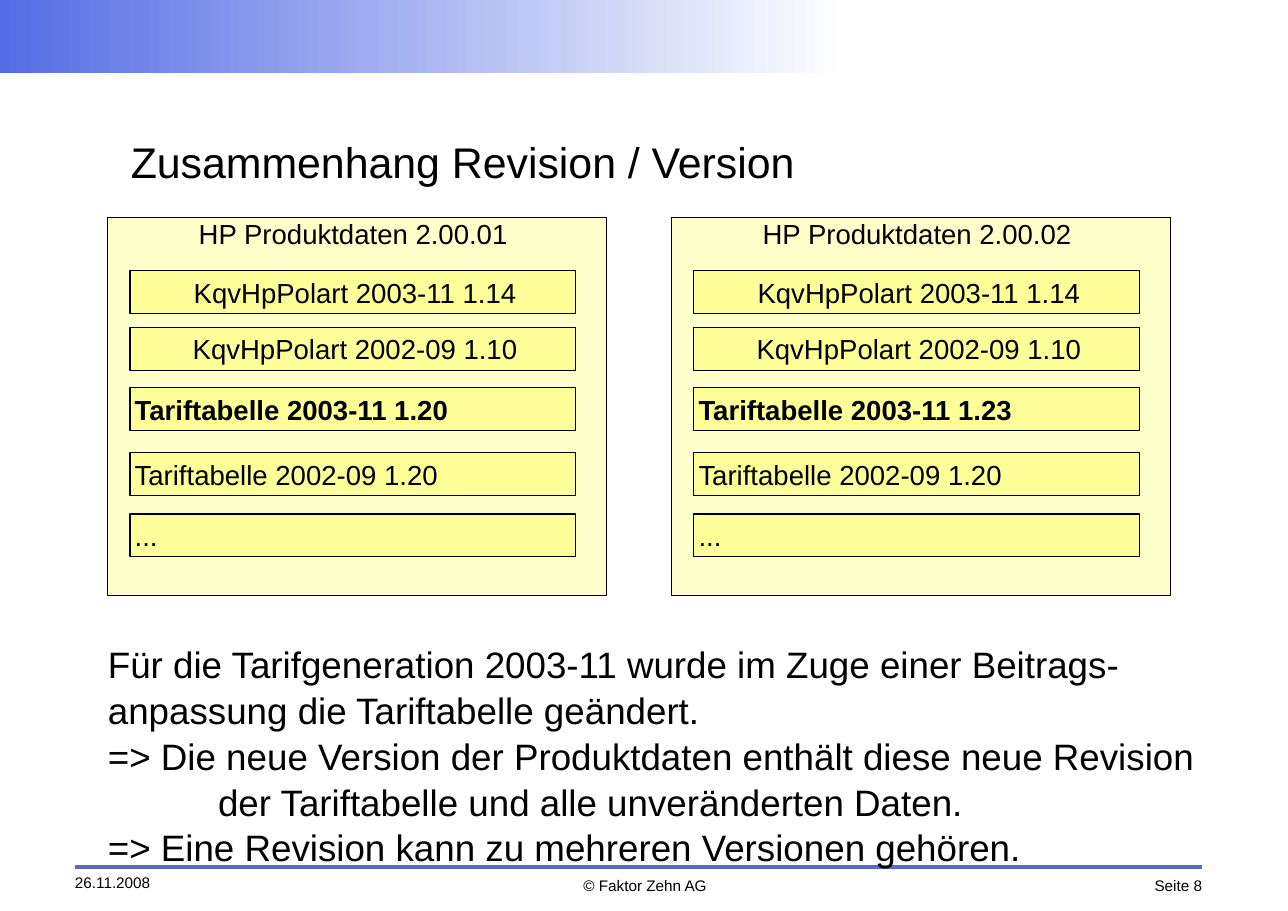
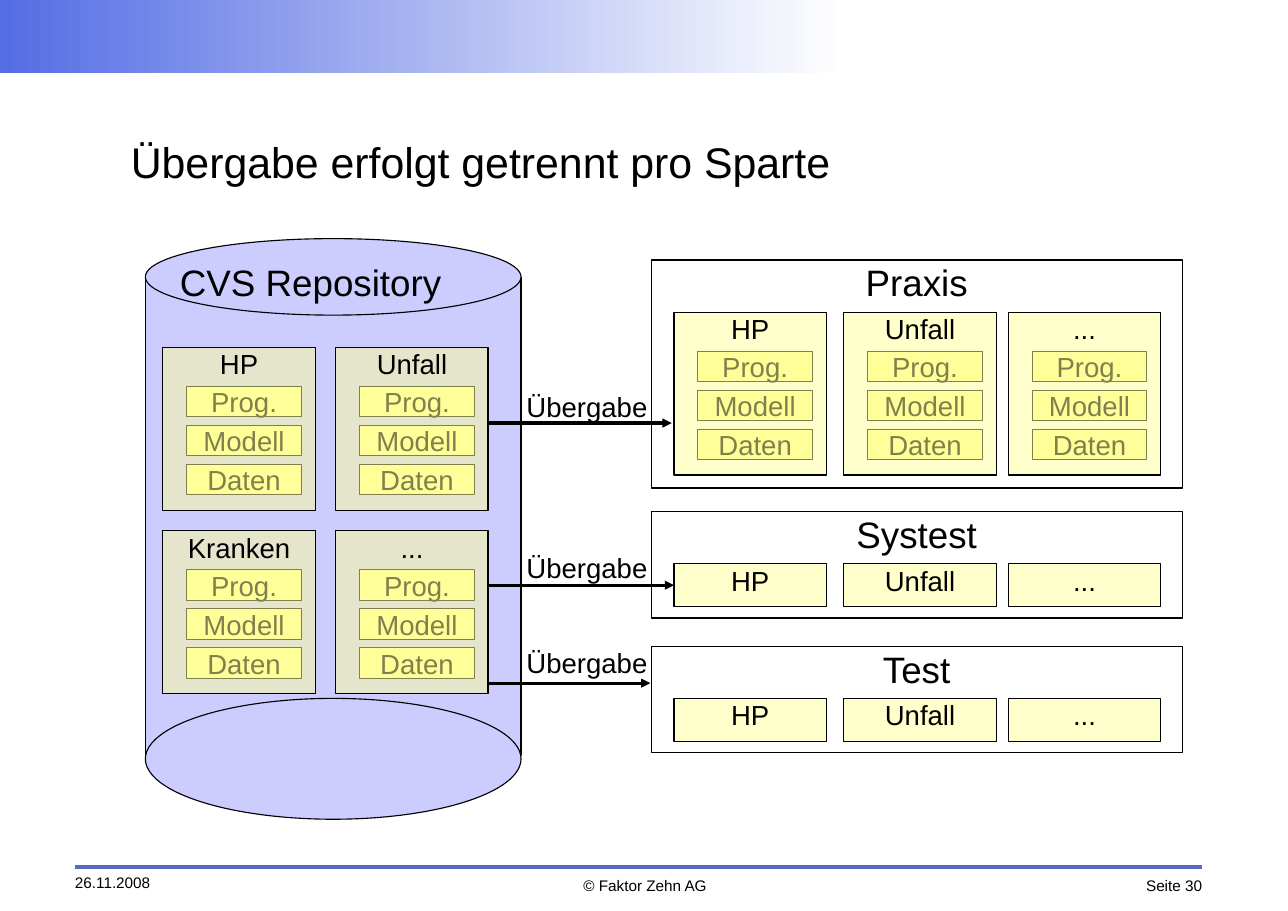
from lxml import etree
from pptx import Presentation
from pptx.dml.color import RGBColor
from pptx.enum import shapes, text
from pptx.oxml.ns import qn
from pptx.util import Pt

BLACK = RGBColor(0x00, 0x00, 0x00)
WHITE = RGBColor(0xFF, 0xFF, 0xFF)
YELLOW = RGBColor(0xFF, 0xFF, 0x99)
LILAC = RGBColor(0xCC, 0xCC, 0xFF)
BLUE = RGBColor(0x55, 0x6D, 0xE4)
RULE = RGBColor(0x57, 0x6B, 0xBF)

RECT = shapes.MSO_SHAPE.RECTANGLE
OVAL = shapes.MSO_SHAPE.OVAL
LINE = shapes.MSO_CONNECTOR.STRAIGHT
LEFT, MID, RIGHT = text.PP_ALIGN.LEFT, text.PP_ALIGN.CENTER, text.PP_ALIGN.RIGHT
TOP, CENTER = text.MSO_ANCHOR.TOP, text.MSO_ANCHOR.MIDDLE


def write(shape, words, size, align=LEFT, anchor=TOP, inset=0, bold=False):
    frame = shape.text_frame
    frame.word_wrap = True
    frame.vertical_anchor = anchor
    frame.margin_left = Pt(inset)
    frame.margin_top = frame.margin_right = frame.margin_bottom = 0
    frame.text = words
    for para in frame.paragraphs:
        para.alignment = align
        font = para.font
        font.name, font.size, font.bold = "Arial", Pt(size), bold
        font.color.rgb = BLACK
    return frame


def draw(page, kind, x, y, w, h, fill=None, clear=False):
    shape = page.shapes.add_shape(kind, Pt(x), Pt(y), Pt(w), Pt(h))
    shape.shadow.inherit = False
    shape.line.color.rgb = BLACK
    shape.line.width = Pt(0)
    if fill is None:
        shape.fill.background()
    else:
        shape.fill.solid()
        shape.fill.fore_color.rgb = fill
    if clear:
        color = shape._element.spPr.find(qn("a:solidFill"))[0]
        etree.SubElement(color, qn("a:alpha")).set("val", "50000")
    return shape


deck = Presentation()
deck.slide_width, deck.slide_height = Pt(841.68), Pt(595.44)

# Shared band, title and footer
pages = []
for title, number in (("Zusammenhang Revision / Version", 8),
                      ("Übergabe erfolgt getrennt pro Sparte", 30)):
    page = deck.slides.add_slide(deck.slide_layouts[6])
    pages.append(page)
    band = draw(page, RECT, 0, 0, 552, 48)
    band.line.fill.background()
    band.fill.gradient()
    band.fill.gradient_angle = 0
    for stop, color in zip(band.fill.gradient_stops, (BLUE, WHITE)):
        stop.color.rgb = color
    rule = page.shapes.add_connector(LINE, Pt(49), Pt(566.5), Pt(785.5), Pt(566.5))
    rule.line.color.rgb = RULE
    rule.line.width = Pt(2.83)
    for words, x, y, w, h, size, align, anchor in (
            (title, 85.5, 68.5, 670, 73.5, 28, LEFT, CENTER),
            ("26.11.2008", 49, 570.5, 90, 14, 10, LEFT, TOP),
            ("© Faktor Zehn AG", 363.5, 572.5, 116, 14, 10, MID, TOP),
            (f"Seite {number}", 704.5, 572.5, 81, 14, 10, RIGHT, TOP)):
        label = page.shapes.add_textbox(Pt(x), Pt(y), Pt(w), Pt(h))
        write(label, words, size, align, anchor)
first, second = pages

# Slide 1: two product versions with their revisions
for x, version, table in ((70.5, "2.00.01", "1.20"), (439, "2.00.02", "1.23")):
    panel = draw(first, RECT, x, 142, 326, 247.5, YELLOW, True)
    frame = write(panel, f"HP Produktdaten {version}", 18, MID)
    frame.margin_right = Pt(5.5)
    for y, words, align, bold in (
            (177, "KqvHpPolart 2003-11 1.14", MID, False),
            (214, "KqvHpPolart 2002-09 1.10", MID, False),
            (253.5, f"Tariftabelle 2003-11 {table}", LEFT, True),
            (296, "Tariftabelle 2002-09 1.20", LEFT, False),
            (336, "...", LEFT, False)):
        bar = draw(first, RECT, x + 14.5, y, 291, 28, YELLOW)
        write(bar, words, 18, align, CENTER, 3, bold)

# Slide 1: explanation
body = first.shapes.add_textbox(Pt(70.5), Pt(418.5), Pt(754), Pt(144))
frame = write(body, "\n".join((
    "Für die Tarifgeneration 2003-11 wurde im Zuge einer Beitrags-",
    "anpassung die Tariftabelle geändert.",
    "=> Die neue Version der Produktdaten enthält diese neue Revision",
    "der Tariftabelle und alle unveränderten Daten.",
    "=> Eine Revision kann zu mehreren Versionen gehören.")), 24)
for para in frame.paragraphs:
    para.line_spacing = 1.04
frame.paragraphs[3]._p.get_or_add_pPr().set("marL", str(Pt(72)))

# Slide 2: repository cylinder
draw(second, RECT, 95, 181.5, 245.5, 312, LILAC)
draw(second, OVAL, 95, 456.5, 245.5, 79, LILAC)
draw(second, OVAL, 95, 156, 245.5, 50, LILAC)
label = second.shapes.add_textbox(Pt(114.5), Pt(170), Pt(177), Pt(26.5))
write(label, "CVS Repository", 24, MID)

# Slide 2: target panels, and the places of all line-of-business boxes
spots = [("HP", 106.5, 227, True), ("Unfall", 219.5, 227, True),
         ("Kranken", 106.5, 347, True), ("...", 219.5, 347, True)]
for name, y, h, full in (("Praxis", 170, 149, True),
                         ("Systest", 334.5, 69.5, False),
                         ("Test", 422.5, 69.5, False)):
    write(draw(second, RECT, 425.5, y, 347, h), name, 24, MID)
    for branch, x in (("HP", 440.5), ("Unfall", 551.5), ("...", 659)):
        spots.append((branch, x, y + 34, full))

# Slide 2: boxes, laid half transparent over their parts
boxes = []
for branch, x, y, full in spots:
    for row, part in enumerate(("Prog.", "Modell", "Daten") if full else ()):
        bar = draw(second, RECT, x + 15.5, y + 25.5 * (row + 1), 75, 20, YELLOW)
        write(bar, part, 18, MID, CENTER)
    box = draw(second, RECT, x, y, 99.5, 106.5 if full else 28, YELLOW, True)
    write(box, branch, 18, MID)
    boxes.append(box)

# Slide 2: handover arrows
target = boxes[7]
for top, y, end, goal in ((255, 276.5, 439, None), (360, 382.5, 440.5, target),
                          (422.5, 446.5, 425, None)):
    label = second.shapes.add_textbox(Pt(344), Pt(top), Pt(85), Pt(20))
    write(label, "Übergabe", 18)
    arrow = second.shapes.add_connector(LINE, Pt(319), Pt(y), Pt(end), Pt(y))
    if goal is not None:
        arrow.end_connect(goal, 1)
    arrow.line.color.rgb = BLACK
    arrow.line.width = Pt(0)
    line = arrow._element.spPr.find(qn("a:ln"))
    etree.SubElement(line, qn("a:tailEnd")).set("type", "triangle")

# No shadows on any line
for page in pages:
    for shape in page.shapes:
        if shape.shape_type == shapes.MSO_SHAPE_TYPE.LINE:
            etree.SubElement(shape._element.spPr, qn("a:effectLst"))

deck.save("out.pptx")
